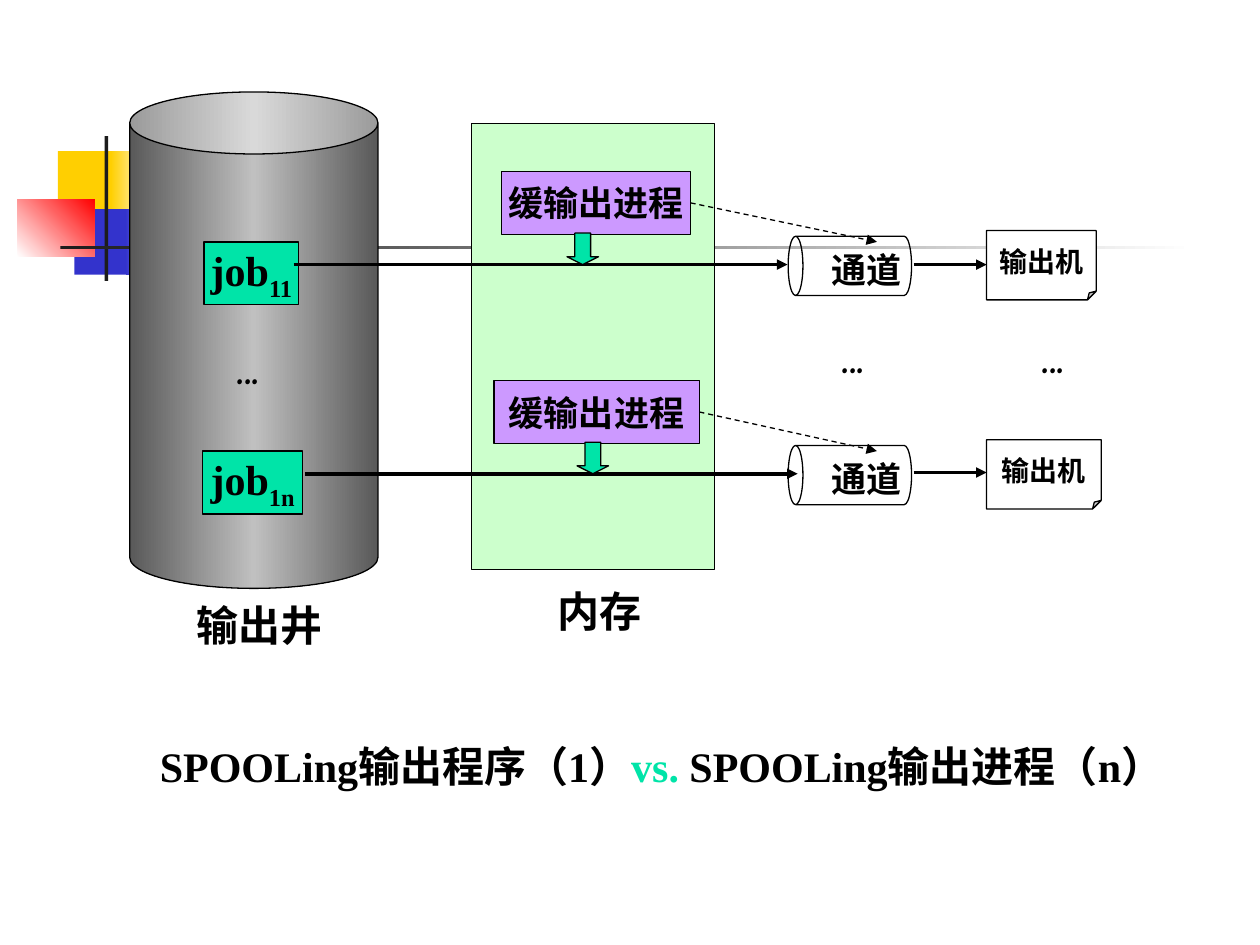
from dataclasses import dataclass

from lxml.etree import SubElement as Sub
from pptx import Presentation
from pptx.dml.color import RGBColor as RGB
from pptx.enum.dml import MSO_LINE_DASH_STYLE as Dash
from pptx.enum.shapes import MSO_CONNECTOR as Link, MSO_SHAPE as Kind
from pptx.enum.text import MSO_ANCHOR as Anchor, MSO_AUTO_SIZE as Fit, PP_ALIGN as Align
from pptx.oxml.ns import qn
from pptx.util import Inches, Pt


@dataclass(frozen=True)
class Theme:
    ink: str = "000000"
    paper: str = "FFFFFF"
    mint: str = "00E4A8"
    lilac: str = "CC99FF"
    pale: str = "CCFFCC"
    gold: str = "FFCF01"
    blue: str = "3333CC"
    red: str = "FF0000"
    dark: str = "1C1C1C"
    steel: str = "595959"
    shine: str = "C0C0C0"
    font: str = "Times New Roman"
    dots: str = "Comic Neue"
    big: int = 24
    mid: int = 20
    small: int = 16
    thin: float = 0.75
    thick: float = 2


T = Theme()


def shade(shape, colors, angle=0):
    """Fill with evenly spaced gradient stops; angle runs counter-clockwise."""
    shape.fill.gradient()
    shape.fill.gradient_angle = angle
    stops = shape._element.spPr.find(qn("a:gradFill")).find(qn("a:gsLst"))
    for old in list(stops):
        stops.remove(old)
    for i, color in enumerate(colors):
        stop = Sub(stops, qn("a:gs"), pos=str(100000 * i // (len(colors) - 1)))
        Sub(stop, qn("a:srgbClr"), val=color)


def adjust(shape, **values):
    """Write named shape adjustments, given as fractions."""
    guides = shape._element.spPr.find(qn("a:prstGeom")).find(qn("a:avLst"))
    for old in list(guides):
        guides.remove(old)
    for name, value in values.items():
        Sub(guides, qn("a:gd"), name=name, fmla=f"val {round(value * 100000)}")


def block(slide, kind, box, fill=None, edge=True, angle=0):
    """Add a preset shape; fill is a colour, a list of gradient colours or None."""
    shape = slide.shapes.add_shape(kind, *map(Inches, box))
    shape.shadow.inherit = False
    if fill is None:
        shape.fill.background()
    elif isinstance(fill, list):
        shade(shape, fill, angle)
    else:
        shape.fill.solid()
        shape.fill.fore_color.rgb = RGB.from_string(fill)
    if edge:
        shape.line.color.rgb = RGB.from_string(T.ink)
        shape.line.width = Pt(T.thin)
    else:
        shape.line.fill.background()
    return shape


def style(run, size, font=T.font, color=T.ink):
    run.font.name = font
    run.font.size = Pt(size)
    run.font.bold = True
    run.font.color.rgb = RGB.from_string(color)


def label(shape, text, size, sub=""):
    """Centre text in a shape, with an optional subscript."""
    frame = shape.text_frame
    frame.word_wrap = False
    frame.vertical_anchor = Anchor.MIDDLE
    para = frame.paragraphs[0]
    para.text = text
    para.alignment = Align.CENTER
    if sub:
        low = para.add_run()
        low.text = sub
        low._r.get_or_add_rPr().set("baseline", "-25000")
    for run in para.runs:
        style(run, size)


def note(slide, box, parts, size=T.big, font=T.font):
    """Add a text box made of (text, colour) parts."""
    frame = slide.shapes.add_textbox(*map(Inches, box)).text_frame
    frame.word_wrap = True
    frame.auto_size = Fit.SHAPE_TO_FIT_TEXT
    for text, color in parts:
        run = frame.paragraphs[0].add_run()
        run.text = text
        style(run, size, font, color)


def arrow(slide, start, end, width=T.thick, dash=False):
    line = slide.shapes.add_connector(Link.STRAIGHT, *map(Inches, (*start, *end)))
    line.line.color.rgb = RGB.from_string(T.ink)
    line.line.width = Pt(width)
    if dash:
        line.line.dash_style = Dash.DASH
    Sub(line._element.spPr.find(qn("a:ln")), qn("a:tailEnd"), type="triangle")
    Sub(line._element.spPr, qn("a:effectLst"))
    return line


def decor(slide):
    for box, fill, angle in (
        ((0.46, 1.2, 0.48, 0.52), T.gold, 0),
        ((0.88, 1.2, 0.36, 0.52), [T.gold, T.paper], 0),
        ((0.59, 1.66, 0.46, 0.52), T.blue, 0),
        ((1, 1.66, 0.4, 0.52), [T.blue, T.paper], 0),
        ((0.14, 1.58, 0.61, 0.46), [T.paper, T.red], 45),
        ((0.83, 1.08, 0.03, 1.15), T.dark, 0),
        ((0.48, 1.95, 9, 0.03), [T.dark, T.paper], 0),
    ):
        block(slide, Kind.RECTANGLE, box, fill, False, angle)


def stores(slide):
    """Draw the output well and the memory, with their captions."""
    block(slide, Kind.CAN, (1.03, 0.73, 1.97, 3.94), [T.steel, T.shine, T.steel])
    block(slide, Kind.RECTANGLE, (3.74, 0.98, 1.93, 3.54), T.pale)
    note(slide, (1.46, 4.71, 1.33, 0.5), [("输出井", T.ink)])
    note(slide, (4.33, 4.6, 1, 0.5), [("内存", T.ink)])


def flow(slide, top, sub, job, proc, pipe, drop, feed, paper):
    """Draw one job's way to its printer.

    job and proc are (left, width), pipe is (start, end), drop is the left
    of the block arrow, feed the height of the last arrow, paper a width.
    """
    box = block(slide, Kind.RECTANGLE, (job[0], top + 0.56, job[1], 0.5), T.mint)
    label(box, "job", T.big, sub)
    task = block(slide, Kind.RECTANGLE, (proc[0], top, proc[1], 0.5), T.lilac)
    label(task, "缓输出进程", T.mid)

    can = block(slide, Kind.CAN, (6.51, top + 0.26, 0.47, 0.98))
    can.rotation = 270
    note(slide, (6.5, top + 0.56, 0.92, 0.44), [("通道", T.ink)], T.mid)
    sheet = block(slide, Kind.FOLDED_CORNER, (7.83, top + 0.47, paper, 0.55), T.paper)
    adjust(sheet, adj=0.125)
    label(sheet, "输出机", T.small)

    arrow(slide, (pipe[0], top + 0.74), (pipe[1], top + 0.74))
    arrow(slide, (7.25, feed), (7.83, feed))
    down = block(slide, Kind.DOWN_ARROW, (drop, top + 0.49, 0.25, 0.25), T.mint)
    adjust(down, adj1=0.5, adj2=0.25)
    right = proc[0] + proc[1]
    link = arrow(slide, (right, top + 0.25), (6.96, top + 0.56), T.thin, True)
    link.begin_connect(task, 3)


def main():
    deck = Presentation()
    deck.slide_width, deck.slide_height = Inches(10), Inches(7.5)
    slide = deck.slides.add_slide(deck.slide_layouts[6])
    decor(slide)
    stores(slide)
    flow(slide, 1.36, "11", (1.62, 0.75), (3.98, 1.5), (2.33, 6.25), 4.5, 2.1, 0.87)
    flow(slide, 3.02, "1n", (1.61, 0.79), (3.92, 1.63), (2.42, 6.33), 4.58, 3.75, 0.91)
    for left, top in ((1.78, 2.67), (6.58, 2.58), (8.17, 2.58)):
        note(slide, (left, top, 0.5, 0.5), [("...", T.ink)], font=T.dots)
    note(slide, (1.17, 5.83, 8.52, 0.9), [
        ("SPOOLing输出程序（1）", T.ink),
        ("vs.", T.mint),
        (" SPOOLing输出进程（n）", T.ink),
    ])
    deck.save("out.pptx")


if __name__ == "__main__":
    main()
